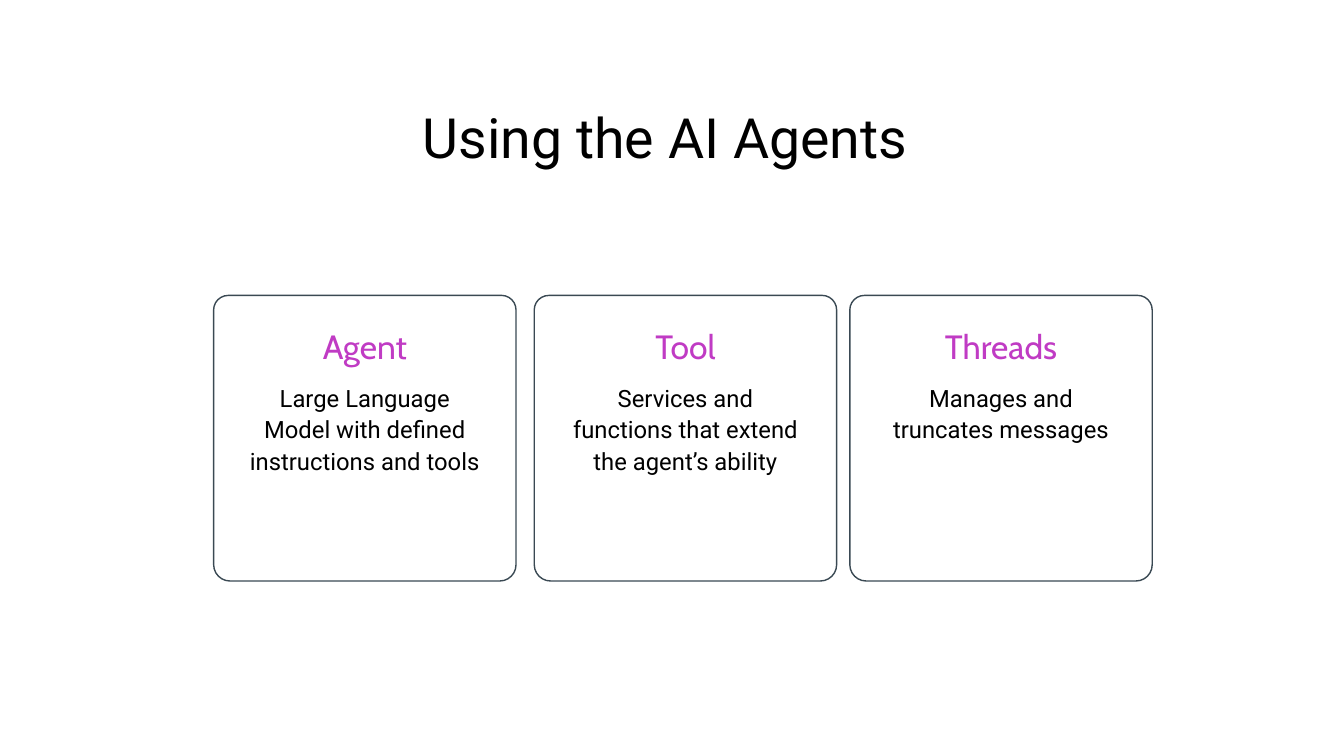
from pptx import Presentation
from pptx.dml.color import RGBColor
from pptx.enum.shapes import MSO_SHAPE
from pptx.enum.text import MSO_ANCHOR, PP_ALIGN
from pptx.util import Pt

CARD_SHAPE = MSO_SHAPE.ROUND_2_SAME_RECTANGLE
CENTER = PP_ALIGN.CENTER
TOP, MIDDLE = MSO_ANCHOR.TOP, MSO_ANCHOR.MIDDLE

BLACK = RGBColor(0x00, 0x00, 0x00)
PURPLE = RGBColor(0xC0, 0x3B, 0xC4)
SLATE = RGBColor(0x3A, 0x49, 0x53)

# Content: card left, heading, description, description width and height
TITLE = "Using the AI Agents "
CARDS = [
    (152.6, "Agent", "Large Language\nModel with defined instructions and tools", 188, 75),
    (381.6, "Tool", "Services and\nfunctions that extend the agent’s ability", 187, 75),
    (607, "Threads", "Manages and truncates messages", 167, 111),
]

# Layout, in points
SLIDE_WIDTH, SLIDE_HEIGHT = 960, 540
TITLE_BOX = (46, 78.5, 868, 44)
CARD_TOP, CARD_WIDTH, CARD_HEIGHT = 211, 216, 204
CARD_CORNERS = (0.057, 0.051)
HEADING_TOP, HEADING_WIDTH, HEADING_HEIGHT = 232.5, 167, 28
DESCRIPTION_TOP = 272
TITLE_INSETS = (7.2, 3.6, 7.2, 3.6)
CARD_INSETS = (0, 0, 0, 3.6)

# Text formats: font and paragraph settings
TITLE_FORMAT = {
    "font": {"name": "Roboto", "size": Pt(39.6)},
    "paragraph": {"alignment": CENTER, "line_spacing": 0.9},
    "color": BLACK,
}
HEADING_FORMAT = {
    "font": {"name": "Cabin", "size": Pt(24)},
    "paragraph": {"alignment": CENTER},
    "color": PURPLE,
}
DESCRIPTION_FORMAT = {
    "font": {"name": "Roboto", "size": Pt(17)},
    "paragraph": {"alignment": CENTER, "line_spacing": 1.1},
    "color": BLACK,
}


def set_attributes(target, values):
    for name, value in values.items():
        setattr(target, name, value)


def add_text(slide, text, box, text_format, insets=CARD_INSETS, anchor=TOP):
    frame = slide.shapes.add_textbox(*map(Pt, box)).text_frame
    left, top, right, bottom = map(Pt, insets)
    set_attributes(frame, {
        "word_wrap": True, "vertical_anchor": anchor,
        "margin_left": left, "margin_top": top,
        "margin_right": right, "margin_bottom": bottom,
    })
    paragraph = frame.paragraphs[0]
    paragraph.text = text  # a newline becomes a line break
    set_attributes(paragraph, text_format["paragraph"])
    for run in paragraph.runs:
        set_attributes(run.font, text_format["font"])
        run.font.color.rgb = text_format["color"]


def add_card(slide, left):
    card = slide.shapes.add_shape(
        CARD_SHAPE, Pt(left), Pt(CARD_TOP), Pt(CARD_WIDTH), Pt(CARD_HEIGHT))
    card.rotation = 180
    for index, corner in enumerate(CARD_CORNERS):
        card.adjustments[index] = corner
    card.shadow.inherit = False
    card.fill.background()
    card.line.color.rgb = SLATE
    card.line.width = Pt(1)


def main():
    presentation = Presentation()
    presentation.slide_width = Pt(SLIDE_WIDTH)
    presentation.slide_height = Pt(SLIDE_HEIGHT)
    slide = presentation.slides.add_slide(presentation.slide_layouts[6])

    # Title
    add_text(slide, TITLE, TITLE_BOX, TITLE_FORMAT, TITLE_INSETS, MIDDLE)

    # Cards, each with its texts centred on it
    for left, heading, description, width, height in CARDS:
        center = left + CARD_WIDTH / 2
        add_text(slide, description,
                 (center - width / 2, DESCRIPTION_TOP, width, height), DESCRIPTION_FORMAT)
        add_text(slide, heading,
                 (center - HEADING_WIDTH / 2, HEADING_TOP, HEADING_WIDTH, HEADING_HEIGHT),
                 HEADING_FORMAT)
        add_card(slide, left)

    presentation.save("out.pptx")


if __name__ == "__main__":
    main()
